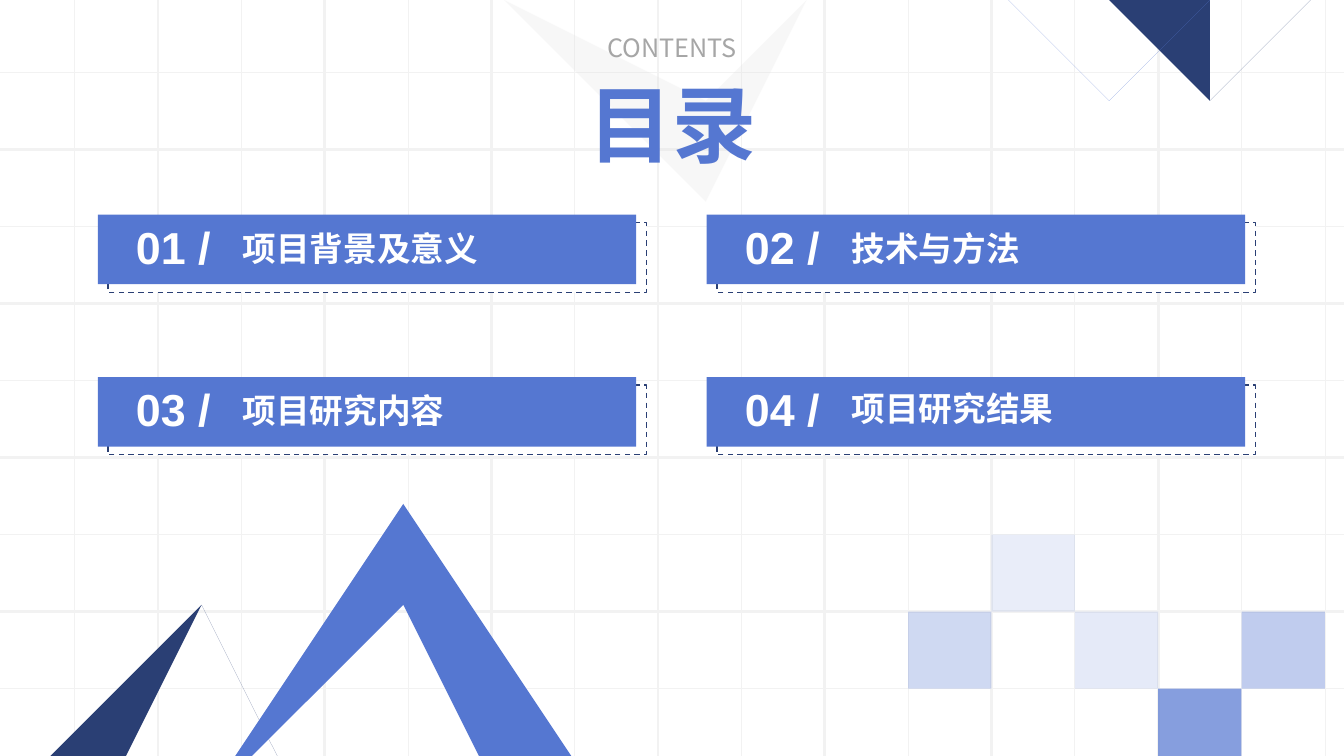
"""Build the contents slide with four numbered sections on a line grid."""
from lxml.etree import SubElement
from pptx import Presentation
from pptx.dml.color import RGBColor
from pptx.enum.dml import MSO_LINE
from pptx.enum.shapes import MSO_CONNECTOR, MSO_SHAPE
from pptx.enum.text import PP_ALIGN
from pptx.oxml.ns import qn
from pptx.util import Inches, Pt

WIDTH, HEIGHT = 13.33, 7.5
BLUE = RGBColor(0x55, 0x77, 0xD1)
NAVY = RGBColor(0x2A, 0x3F, 0x74)
WHITE = RGBColor(0xFF, 0xFF, 0xFF)
GRID_GREY = RGBColor(0xF2, 0xF2, 0xF2)
PALE_GREY = RGBColor(0xD9, 0xD9, 0xD9)
TEXT_GREY = RGBColor(0xA6, 0xA6, 0xA6)
LATIN, CHINESE, HAN = "Arial", "Noto Sans CJK SC", "Noto Sans CJK JP"

SECTIONS = [
    ("01 /", "项目背景及意义", LATIN, 0.08),
    ("02 /", "技术与方法", HAN, 0.08),
    ("03 /", "项目研究内容", HAN, 0.08),
    ("04 /", "项目研究结果", HAN, 0.06),
]
GRID_LEFT, GRID_TOP, CELL_WIDTH, CELL_HEIGHT = 0.74, 0.72, 0.8267, 0.764
COLUMNS, ROWS = 16, 9
TILES = [(10, 7, 28), (11, 6, 13), (12, 7, 15), (13, 8, 71), (14, 7, 37)]
CHEVRONS = [
    (6.67, 0, 1.36, 2.02, 1.2, 1.77, PALE_GREY, 20),
    (12.13, 0, 0.57, 0.9, 0.5, 0.79, NAVY, 100),
    (11.08, 0, 0.84, 1.25, 0.73, 1.09, BLUE, 100),
    (1.71, HEIGHT, 6.3, 5.61, 0.95, 1.5, NAVY, 100),
    (3.69, HEIGHT, 5.74, 4.89, 1.4, 2.08, BLUE, 100),
]
CARD_LEFT, CARD_TOP, CARD_WIDTH, CARD_HEIGHT = 0.97, 2.13, 5.34, 0.69
CARD_STEP_X, CARD_STEP_Y = 6.04, 1.61


def paint(shape, color, opacity=100):
    shape.shadow.inherit = False
    shape.line.fill.background()
    shape.fill.solid()
    shape.fill.fore_color.rgb = color
    if opacity < 100:
        color_element = shape.fill._xPr.find(qn("a:solidFill"))[0]
        SubElement(color_element, qn("a:alpha"), val=str(opacity * 1000))


def add_box(slide, left, top, width, height, color, opacity=100):
    shape = slide.shapes.add_shape(
        MSO_SHAPE.RECTANGLE, *map(Inches, (left, top, width, height)))
    paint(shape, color, opacity)
    return shape


def add_line(slide, x1, y1, x2, y2, thick):
    line = slide.shapes.add_connector(
        MSO_CONNECTOR.STRAIGHT, *map(Inches, (x1, y1, x2, y2)))
    line.line.color.rgb = GRID_GREY
    line.line.width = Pt(2 if thick else 0.5)
    SubElement(line._element.spPr, qn("a:effectLst"))


def add_text(slide, text, left, top, width, height, size, color,
             font=LATIN, bold=True, align=PP_ALIGN.LEFT):
    box = slide.shapes.add_textbox(*map(Inches, (left, top, width, height)))
    box.text_frame.word_wrap = True
    paragraph = box.text_frame.paragraphs[0]
    paragraph.alignment = align
    run = paragraph.add_run()
    run.text = text
    run.font.name = font
    run.font.size = Pt(size)
    run.font.bold = bold
    run.font.color.rgb = color
    east_asian = CHINESE if font == LATIN else font
    SubElement(run._r.rPr, qn("a:ea"), typeface=east_asian)


def add_grid(slide):
    for row in range(ROWS):
        y = GRID_TOP + row * CELL_HEIGHT
        add_line(slide, 0, y, WIDTH, y, row % 2 == 1)
    for column in range(COLUMNS):
        x = GRID_LEFT + column * CELL_WIDTH
        add_line(slide, x, 0, x, HEIGHT, column % 2 == 1 and column < COLUMNS - 1)
    for column, row, opacity in TILES:
        top = GRID_TOP + row * CELL_HEIGHT
        add_box(slide, GRID_LEFT + column * CELL_WIDTH, top, CELL_WIDTH,
                min(CELL_HEIGHT, HEIGHT - top), BLUE, opacity)


def add_chevron(slide, center, base, inner_tip, outer_tip, inner, outer, color, opacity):
    builder = slide.shapes.build_freeform(center - outer, base, scale=Inches(1))
    builder.add_line_segments([
        (center - inner, base), (center, inner_tip), (center + inner, base),
        (center + outer, base), (center, outer_tip)], close=True)
    paint(builder.convert_to_shape(), color, opacity)


def add_section(slide, index, number, title, font, title_drop):
    row, column = divmod(index, 2)
    left = CARD_LEFT + column * CARD_STEP_X
    top = CARD_TOP + row * CARD_STEP_Y
    frame = add_box(slide, left + 0.1, top + 0.08, CARD_WIDTH, CARD_HEIGHT, WHITE)
    frame.line.color.rgb = NAVY
    frame.line.width = Pt(1)
    frame.line.dash_style = MSO_LINE.DASH
    add_box(slide, left, top, CARD_WIDTH, CARD_HEIGHT, BLUE)
    add_text(slide, title, left + 1.34, top + title_drop, 3.9, 0.5, 24, WHITE, font)
    add_text(slide, number, left + 0.28, top, 1.13, 0.64, 32, WHITE)


def main():
    presentation = Presentation()
    presentation.slide_width = Inches(WIDTH)
    presentation.slide_height = Inches(HEIGHT)
    slide = presentation.slides.add_slide(presentation.slide_layouts[6])
    slide.background.fill.solid()
    slide.background.fill.fore_color.rgb = WHITE
    add_grid(slide)
    for chevron in CHEVRONS:
        add_chevron(slide, *chevron)
    add_text(slide, "目录", 5.24, 0.67, 2.85, 1.11, 60, BLUE, align=PP_ALIGN.CENTER)
    for index, section in enumerate(SECTIONS):
        add_section(slide, index, *section)
    add_text(slide, "CONTENTS", 5.24, 0.27, 2.85, 0.4, 18, TEXT_GREY,
             CHINESE, False, PP_ALIGN.CENTER)
    presentation.save("out.pptx")


if __name__ == "__main__":
    main()
